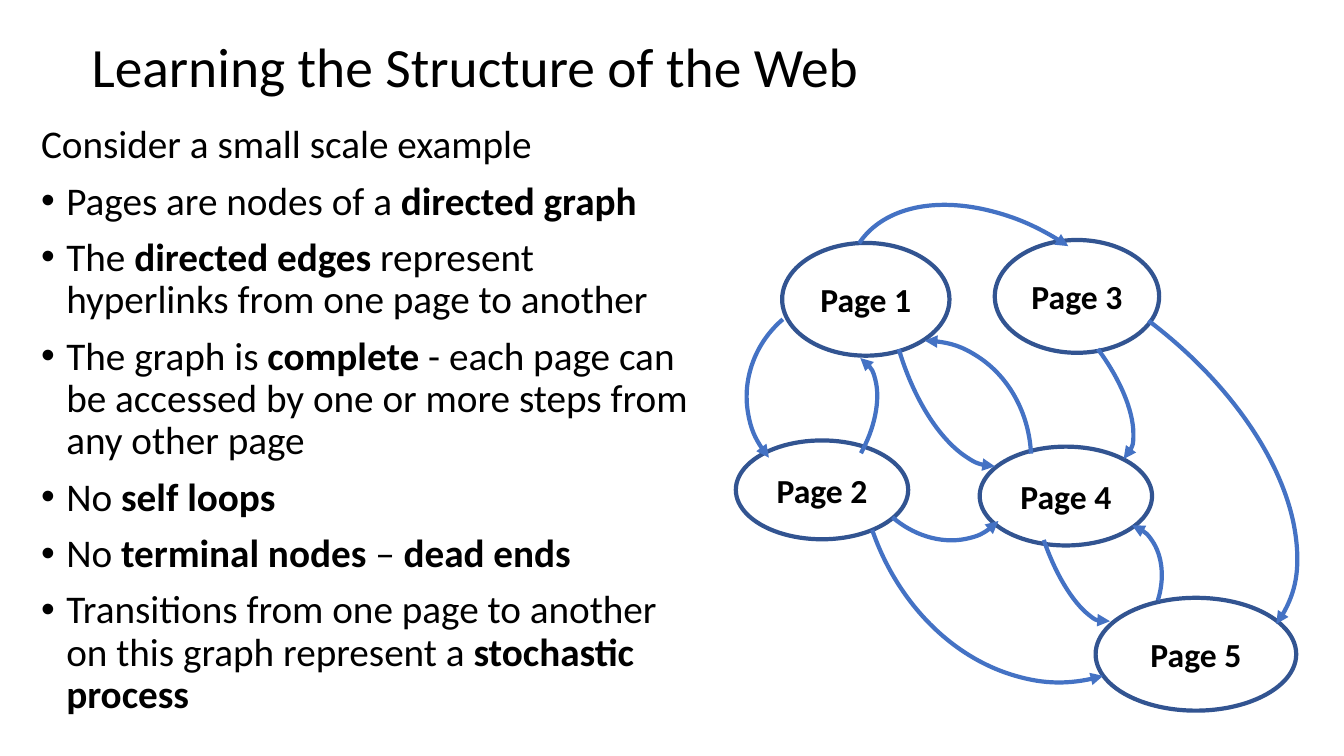
import dataclasses

import pptx
import pptx.dml.color
import pptx.enum.shapes
import pptx.enum.text
import pptx.oxml.ns
import pptx.util
from lxml import etree

Pt = pptx.util.Pt
SHAPE = pptx.enum.shapes.MSO_SHAPE
ALIGN = pptx.enum.text.PP_ALIGN
ANCHOR = pptx.enum.text.MSO_ANCHOR
qn = pptx.oxml.ns.qn


@dataclasses.dataclass(frozen=True)
class Theme:
    font: str = "Calibri"
    ink: str = "000000"
    node_line: str = "325491"
    edge_line: str = "4472C4"
    title_size: float = 39.6
    body_size: float = 28
    node_size: float = 24
    line_width: float = 3
    bullet_indent: float = 18


THEME = Theme()
LATE_START = 164.08  # arc start angle, a little past the top

# Double asterisks switch bold on and off
INTRO = "Consider a small scale example"
BULLETS = [
    "Pages are nodes of a **directed graph**",
    "The **directed edges **represent hyperlinks from one page to another",
    "The graph is **complete** - each page can be accessed by one or more "
    "steps from any other page",
    "No **self loops**",
    "No **terminal nodes **– **dead ends**",
    "Transitions from one page to another on this graph represent a "
    "**stochastic process**",
]

# Left, top, width, height in points
NODES = {
    "Page 1": (558.7, 173.5, 119.5, 80.6),
    "Page 2": (525.6, 314.6, 123.1, 70.6),
    "Page 3": (710.6, 171.4, 117.4, 80.6),
    "Page 4": (699.8, 319, 123.1, 70.6),
    "Page 5": (782.6, 427, 143.3, 80.6),
}

# Frame, rotation in degrees, and format of each hyperlink arc
EDGES = [
    # From page 1 to 2, 3, 4
    ((532.1, 211.7, 143.3, 137.5), 319.6, {"flip": "H"}),
    ((636.5, 118.1, 162.7, 250.6), 303.8, {}),
    ((640.1, 135.4, 96.5, 200.9), 343.6,
     {"flip": "HV", "start": LATE_START, "arrow": "headEnd"}),
    # From page 2 to 1, 4, 5
    ((523.4, 274.3, 121.7, 68.4), 119.8, {"flip": "H", "start": LATE_START}),
    ((609.1, 281.5, 120.2, 99.4), 223, {"flip": "H", "start": LATE_START}),
    ((589, 205.9, 309.6, 257), 253.4, {"flip": "H", "start": LATE_START}),
    # From page 3 to 4, 5
    ((681.1, 234.7, 151.2, 66.2), 232.6, {"flip": "HV", "start": LATE_START}),
    ((545.8, 205.2, 406.8, 236.2), 37, {}),
    # From page 4 to 1, 5
    ((575.3, 252.7, 170.6, 151.9), 90, {"flip": "H", "start": LATE_START}),
    ((699.8, 351.4, 140.4, 51.8), 251.1, {"flip": "H"}),
    # From page 5 to 4
    ((749.5, 384.5, 90.7, 67.7), 107.8, {"flip": "H"}),
]


def rgb(value):
    return pptx.dml.color.RGBColor.from_string(value)


def write(para, text, *, size, bold=False, align=ALIGN.LEFT, spacing=1.0,
          before=0, bullet=False):
    """Fill a paragraph; double asterisks toggle bold."""
    para.alignment = align
    para.line_spacing = spacing
    para.space_before = Pt(before)
    if bullet:
        props = para._p.get_or_add_pPr()
        props.set("marL", str(Pt(THEME.bullet_indent)))
        props.set("indent", str(-Pt(THEME.bullet_indent)))
        etree.SubElement(props, qn("a:buFont")).set("typeface", "Arial")
        etree.SubElement(props, qn("a:buChar")).set("char", "•")
    for index, part in enumerate(text.split("**")):
        if part:
            span = para.add_run()
            span.text = part
            span.font.name = THEME.font
            span.font.size = Pt(size)
            span.font.bold = bold or index % 2 == 1
            span.font.color.rgb = rgb(THEME.ink)


def add_text_box(page, frame, anchor=ANCHOR.TOP):
    box = page.shapes.add_textbox(*map(Pt, frame))
    box.text_frame.word_wrap = True
    box.text_frame.vertical_anchor = anchor
    return box.text_frame


def add_outline(page, kind, frame, color):
    shape = page.shapes.add_shape(kind, *map(Pt, frame))
    shape.shadow.inherit = False
    shape.fill.background()
    shape.line.color.rgb = rgb(color)
    shape.line.width = Pt(THEME.line_width)
    return shape


def add_node(page, name, frame):
    node = add_outline(page, SHAPE.OVAL, frame, THEME.node_line)
    node.text_frame.vertical_anchor = ANCHOR.MIDDLE
    write(node.text_frame.paragraphs[0], name, size=THEME.node_size,
          bold=True, align=ALIGN.CENTER)


def add_edge(page, frame, rotation, *, flip="", start=162, arrow="tailEnd"):
    edge = add_outline(page, SHAPE.ARC, frame, THEME.edge_line)
    edge.rotation = rotation
    edge.adjustments[0] = start
    for axis in flip:
        edge._element.spPr.xfrm.set("flip" + axis, "1")
    line = edge._element.spPr.find(qn("a:ln"))
    etree.SubElement(line, qn("a:" + arrow)).set("type", "triangle")


def main():
    deck = pptx.Presentation()
    deck.slide_width, deck.slide_height = Pt(960), Pt(540)
    page = deck.slides.add_slide(deck.slide_layouts[6])

    # Title
    title = add_text_box(page, (58.3, 24.5, 828, 49.7), ANCHOR.MIDDLE)
    write(title.paragraphs[0], "Learning the Structure of the Web",
          size=THEME.title_size, spacing=0.9)

    # Graph of pages and hyperlinks
    for name, frame in NODES.items():
        add_node(page, name, frame)
    for frame, rotation, style in EDGES:
        add_edge(page, frame, rotation, **style)

    # Explanation
    body = add_text_box(page, (22.3, 85.7, 485.3, 433.4))
    layout = {"size": THEME.body_size, "spacing": 0.9, "before": 10}
    write(body.paragraphs[0], INTRO, **layout)
    for text in BULLETS:
        write(body.add_paragraph(), text, bullet=True, **layout)

    deck.save("out.pptx")


if __name__ == "__main__":
    main()
